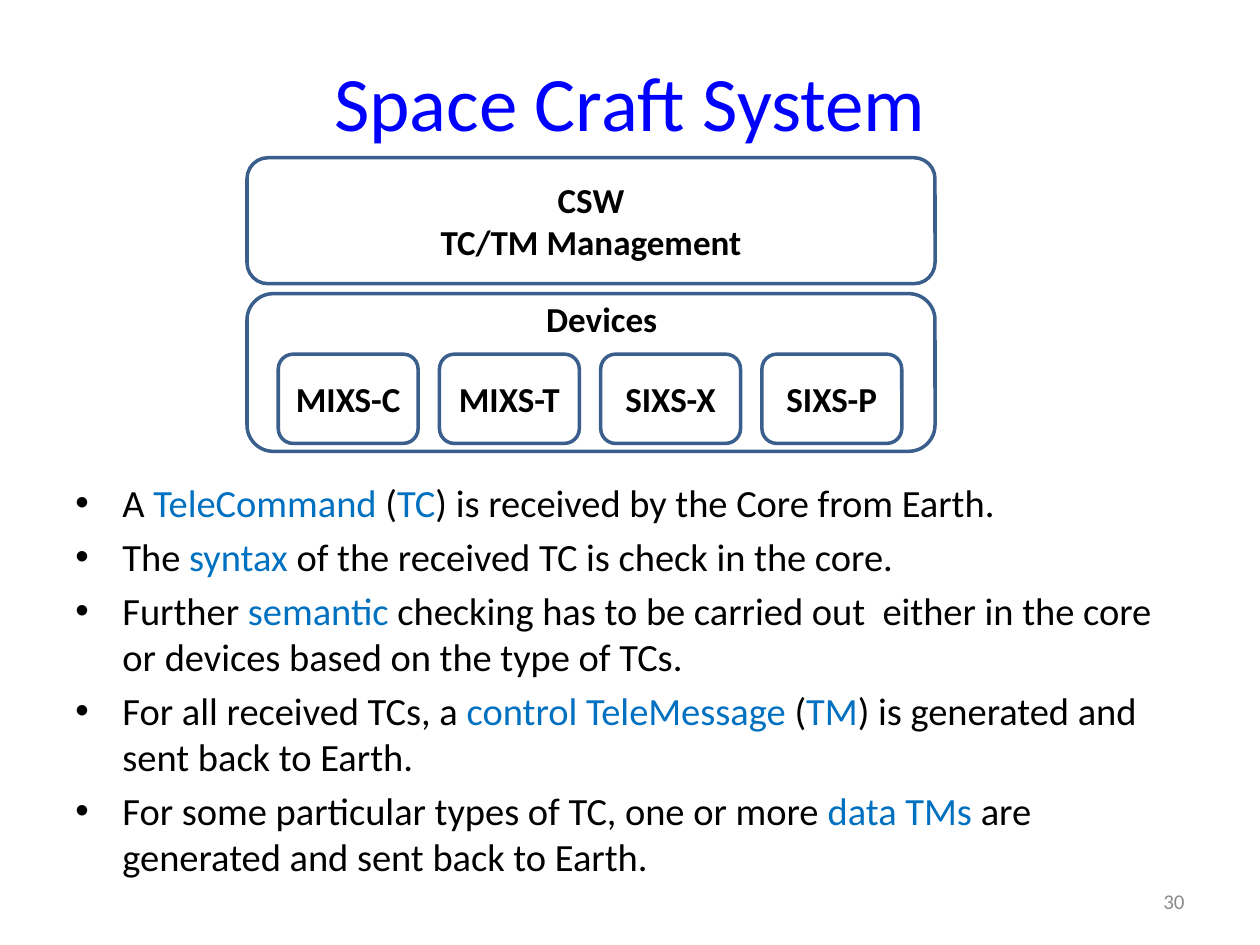
import pptx
import pptx.util
import pptx.dml.color
import pptx.enum.shapes
import pptx.enum.text
import pptx.oxml.ns
import lxml.etree

Cm = pptx.util.Cm
Pt = pptx.util.Pt
ALIGN = pptx.enum.text.PP_ALIGN
ANCHOR = pptx.enum.text.MSO_ANCHOR

COLORS = {"title": "0000FF", "text": "000000", "accent": "0070C0",
          "outline": "3A5F8C", "number": "8C8C8C"}
TITLE = {"size": Pt(44), "bold": False}
LABEL = {"size": Pt(20), "bold": True}
BODY = {"size": Pt(22), "bold": False}
NUMBER = {"size": Pt(12), "bold": False}

BULLETS = [
    "A |TeleCommand |(|TC|) is received by the Core from Earth.",
    "The |syntax| of the received TC is check in the core.",
    "Further |semantic| checking has to be carried out  either in the core "
    "or devices based on the type of TCs.",
    "For all received TCs, a |control TeleMessage |(|TM|) is generated and "
    "sent back to Earth.",
    "For some particular types of TC, one or more |data TMs |are generated "
    "and sent back to Earth.",
]
DEVICES = ["MIXS-C", "MIXS-T", "SIXS-X", "SIXS-P"]


class SlideBuilder:
    """Adds consistently styled elements to the current slide."""

    def __init__(self, slide, font_name):
        self.slide = slide
        self.font_name = font_name

    def color(self, name):
        return pptx.dml.color.RGBColor.from_string(COLORS[name])

    def style(self, font, color, values):
        for name, value in {"name": self.font_name, **values}.items():
            setattr(font, name, value)
        font.color.rgb = self.color(color)

    def frame(self, shape, anchor):
        values = {"word_wrap": True, "vertical_anchor": anchor,
                  "auto_size": pptx.enum.text.MSO_AUTO_SIZE.NONE}
        for name, value in values.items():
            setattr(shape.text_frame, name, value)
        return shape.text_frame

    def fill_text(self, shape, lines, values, color="text", align=ALIGN.CENTER):
        frame = self.frame(shape, ANCHOR.MIDDLE)
        for index, line in enumerate(lines):
            para = frame.add_paragraph() if index else frame.paragraphs[0]
            para.alignment = align
            span = para.add_run()
            span.text = line
            self.style(span.font, color, values)

    def title(self, text, left, top, width, height):
        title = self.slide.shapes.title
        place = {"left": left, "top": top, "width": width, "height": height}
        for name, value in place.items():
            setattr(title, name, Cm(value))
        self.fill_text(title, [text], TITLE, "title")

    def box(self, lines, *place):
        box = self.slide.shapes.add_shape(
            pptx.enum.shapes.MSO_SHAPE.ROUNDED_RECTANGLE, *map(Cm, place))
        box.shadow.inherit = False
        box.fill.background()
        box.line.color.rgb = self.color("outline")
        box.line.width = Pt(2)
        self.fill_text(box, lines, LABEL)

    def label(self, text, place, values, color="text", align=ALIGN.CENTER):
        label = self.slide.shapes.add_textbox(*map(Cm, place))
        self.fill_text(label, [text], values, color, align)

    def bullets(self, items, *place):
        body = self.slide.shapes.add_textbox(*map(Cm, place))
        frame = self.frame(body, ANCHOR.TOP)
        for index, item in enumerate(items):
            para = frame.add_paragraph() if index else frame.paragraphs[0]
            props = para._p.get_or_add_pPr()
            props.set("marL", str(Cm(0.95)))
            props.set("indent", str(-Cm(0.95)))
            for tag, key, value in (("a:buFont", "typeface", "Arial"),
                                    ("a:buChar", "char", "•")):
                lxml.etree.SubElement(
                    props, pptx.oxml.ns.qn(tag)).set(key, value)
            para.space_before = Pt(4.4 if index else 0)
            for number, text in enumerate(item.split("|")):
                span = para.add_run()
                span.text = text
                self.style(span.font, "accent" if number % 2 else "text", BODY)


def main():
    deck = pptx.Presentation()
    deck.slide_width, deck.slide_height = Cm(25.4), Cm(19.05)
    page = deck.slides.add_slide(deck.slide_layouts[5])
    builder = SlideBuilder(page, "Calibri")

    builder.title("Space Craft System", 1.27, 0.43, 22.86, 3.18)
    builder.bullets(BULLETS, 1.27, 9.53, 22.86, 9.09)
    builder.box(["CSW", "TC/TM Management"], 4.98, 3.18, 13.87, 2.54)
    builder.box([], 4.98, 5.92, 13.87, 3.18)
    for index, device in enumerate(DEVICES):
        builder.box([device], 5.61 + index * 3.25, 7.14, 2.82, 1.8)
    builder.label("Devices", (9.96, 6.12, 4.34, 0.61), LABEL)
    builder.label("30", (18.21, 17.65, 5.92, 1.02), NUMBER, "number", ALIGN.RIGHT)

    deck.save("out.pptx")


if __name__ == "__main__":
    main()
